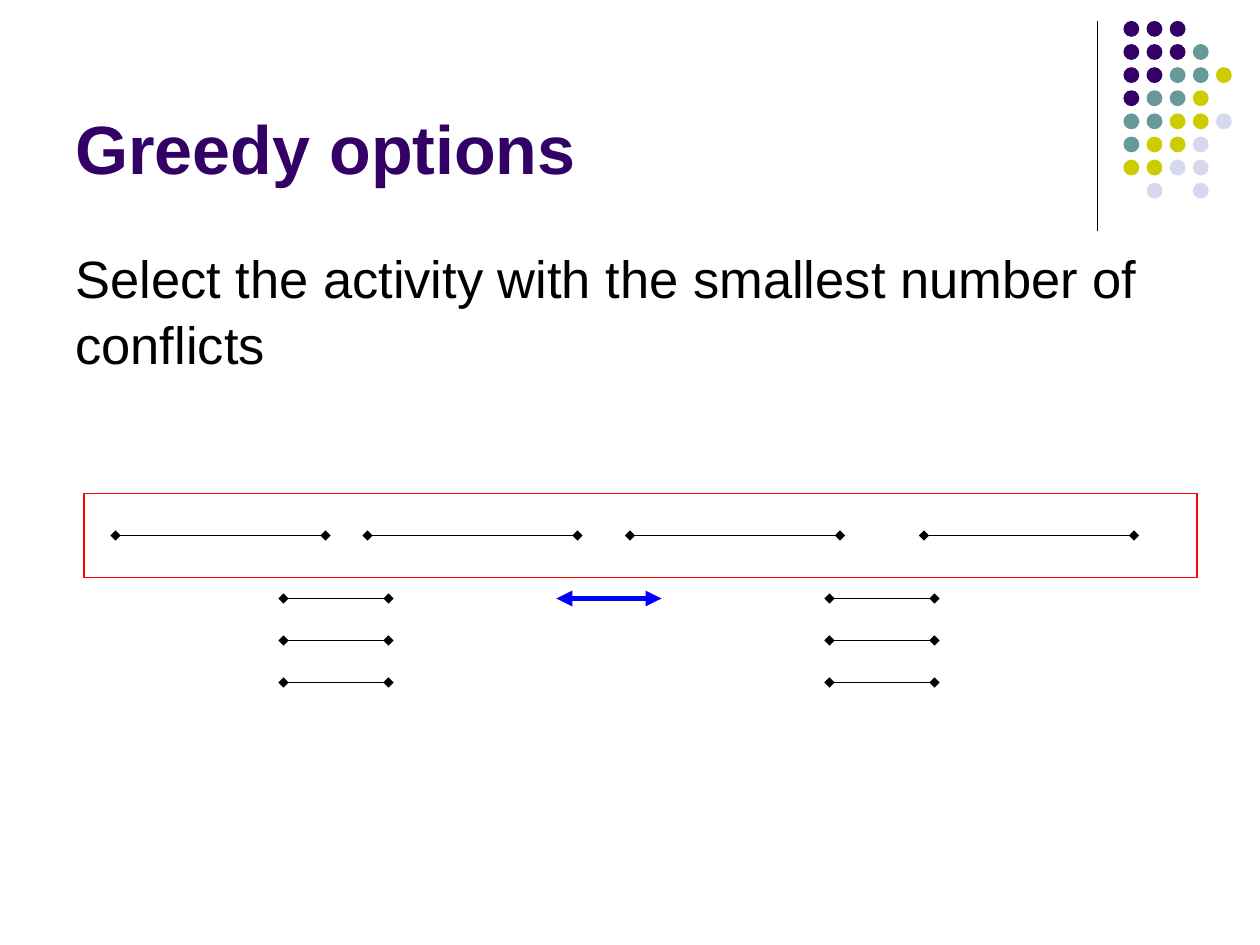
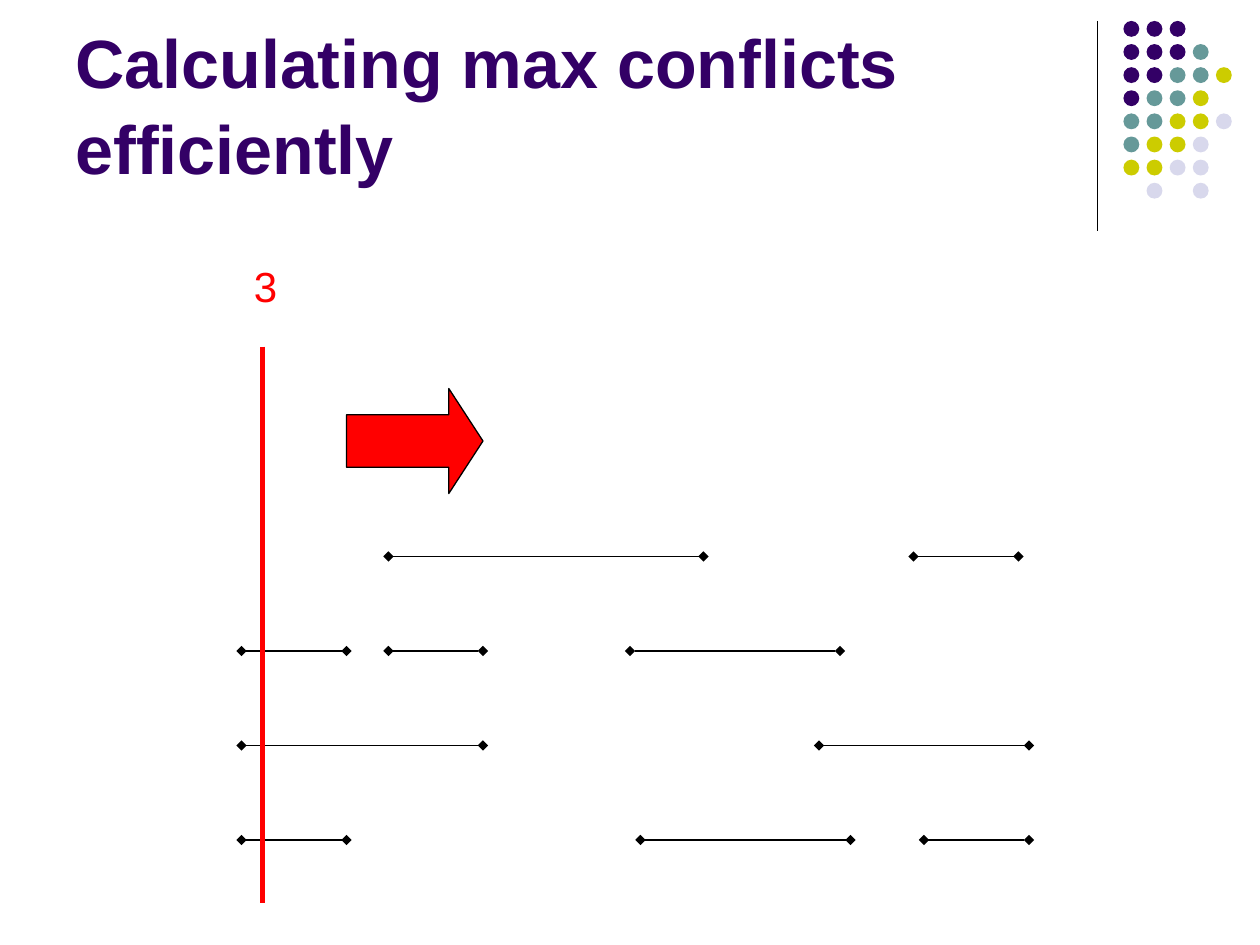
"""Two slides on greedy activity selection, laid out in twelfths of an inch."""
from lxml import etree
from pptx import Presentation
from pptx.dml.color import RGBColor
from pptx.enum.shapes import MSO_CONNECTOR, MSO_SHAPE
from pptx.enum.text import MSO_ANCHOR
from pptx.oxml.ns import qn
from pptx.util import Cm, Pt

LINE = MSO_CONNECTOR.STRAIGHT
RECT, OVAL, ARROW = MSO_SHAPE.RECTANGLE, MSO_SHAPE.OVAL, MSO_SHAPE.RIGHT_ARROW
TOP, BOTTOM = MSO_ANCHOR.TOP, MSO_ANCHOR.BOTTOM

BLACK = RGBColor(0x00, 0x00, 0x00)
RED = RGBColor(0xFF, 0x00, 0x00)
BLUE = RGBColor(0x00, 0x00, 0xFF)
PURPLE = RGBColor(0x33, 0x00, 0x66)
TEAL = RGBColor(0x66, 0x99, 0x99)
LIME = RGBColor(0xCC, 0xCC, 0x00)
PALE = RGBColor(0xD8, 0xD8, 0xEC)

FONT = "Arial"
THIN, THICK = 0.75, 3

OPTIONS = "Greedy options"
RULE = "Select the activity with the smallest number of conflicts"
SWEEP = "Calculating max conflicts efficiently"
COUNT = "3"

DOTS = ["PPP", "PPPT", "PPTTL", "PTTL", "TTLLW", "TLLW", "LLWW", " W W"]
HUES = {"P": PURPLE, "T": TEAL, "L": LIME, "W": PALE}
PITCH, SIZE = Cm(0.466), Cm(0.32)

CHOICES = {
    51: [(11, 31), (35, 55), (60, 80), (88, 108)],
    57: [(27, 37), (79, 89)],
    61: [(27, 37), (79, 89)],
    65: [(27, 37), (79, 89)],
}
TASKS = {
    53: [(37, 67), (87, 97)],
    62: [(23, 33), (37, 46), (60, 80)],
    71: [(23, 46), (78, 98)],
    80: [(23, 33), (61, 81), (88, 98)],
}


def grid(*units):
    return [Cm(unit * 2.54 / 12) for unit in units]


def add_line(slide, ends, color=BLACK, width=THIN, tip=None):
    line = slide.shapes.add_connector(LINE, *grid(*ends))
    line.line.color.rgb = color
    line.line.width = Pt(width)
    if tip:
        outline = line.line._get_or_add_ln()
        for end in ("a:headEnd", "a:tailEnd"):
            etree.SubElement(outline, qn(end), type=tip)
    etree.SubElement(line._element.spPr, qn("a:effectLst"))


def add_spans(slide, rows):
    for y, spans in rows.items():
        for start, stop in spans:
            add_line(slide, (start, y, stop, y), tip="diamond")


def add_form(shapes, kind, box, fill=None, edge=None):
    form = shapes.add_shape(kind, *box)
    form.shadow.inherit = False
    if fill is None:
        form.fill.background()
    else:
        form.fill.solid()
        form.fill.fore_color.rgb = fill
    if edge is None:
        form.line.fill.background()
    else:
        form.line.color.rgb = edge
        form.line.width = Pt(THIN)
    return form


def add_text(slide, text, box, size, color, bold=False, anchor=TOP):
    frame = slide.shapes.add_textbox(*grid(*box)).text_frame
    frame.word_wrap = True
    frame.vertical_anchor = anchor
    para = frame.paragraphs[0]
    para.text = text
    para.line_spacing = 1.05
    font = para.font
    font.name, font.size, font.bold = FONT, Pt(size), bold
    font.color.rgb = color


def add_slide(deck, title):
    slide = deck.slides.add_slide(deck.slide_layouts[6])
    add_line(slide, (104.5, 2, 104.5, 22))
    left, top = grid(107, 2)
    group = slide.shapes.add_group_shape()
    for row, marks in enumerate(DOTS):
        for col, mark in enumerate(marks):
            if mark in HUES:
                box = (left + col * PITCH, top + row * PITCH, SIZE, SIZE)
                add_form(group.shapes, OVAL, box, HUES[mark])
    add_text(slide, title, (6, 1.5, 99, 17), 39, PURPLE, True, BOTTOM)
    return slide


def add_options(deck):
    slide = add_slide(deck, OPTIONS)
    add_text(slide, RULE, (6, 22.5, 108, 21.5), 30, BLACK)
    add_spans(slide, CHOICES)
    add_line(slide, (53, 57, 63, 57), BLUE, THICK, "triangle")
    add_form(slide.shapes, RECT, grid(8, 47, 106, 8), edge=RED)


def add_sweep(deck):
    slide = add_slide(deck, SWEEP)
    add_spans(slide, TASKS)
    add_line(slide, (25, 33, 25, 86), RED, THICK)
    add_text(slide, COUNT, (23, 24, 9, 6), 24, RED)
    arrow = add_form(slide.shapes, ARROW, grid(33, 37, 13, 10), RED, BLACK)
    arrow.adjustments[1] = 0.325


def main():
    deck = Presentation()
    deck.slide_width, deck.slide_height = Cm(25.4), Cm(19.05)
    add_options(deck)
    add_sweep(deck)
    deck.save("out.pptx")


if __name__ == "__main__":
    main()
